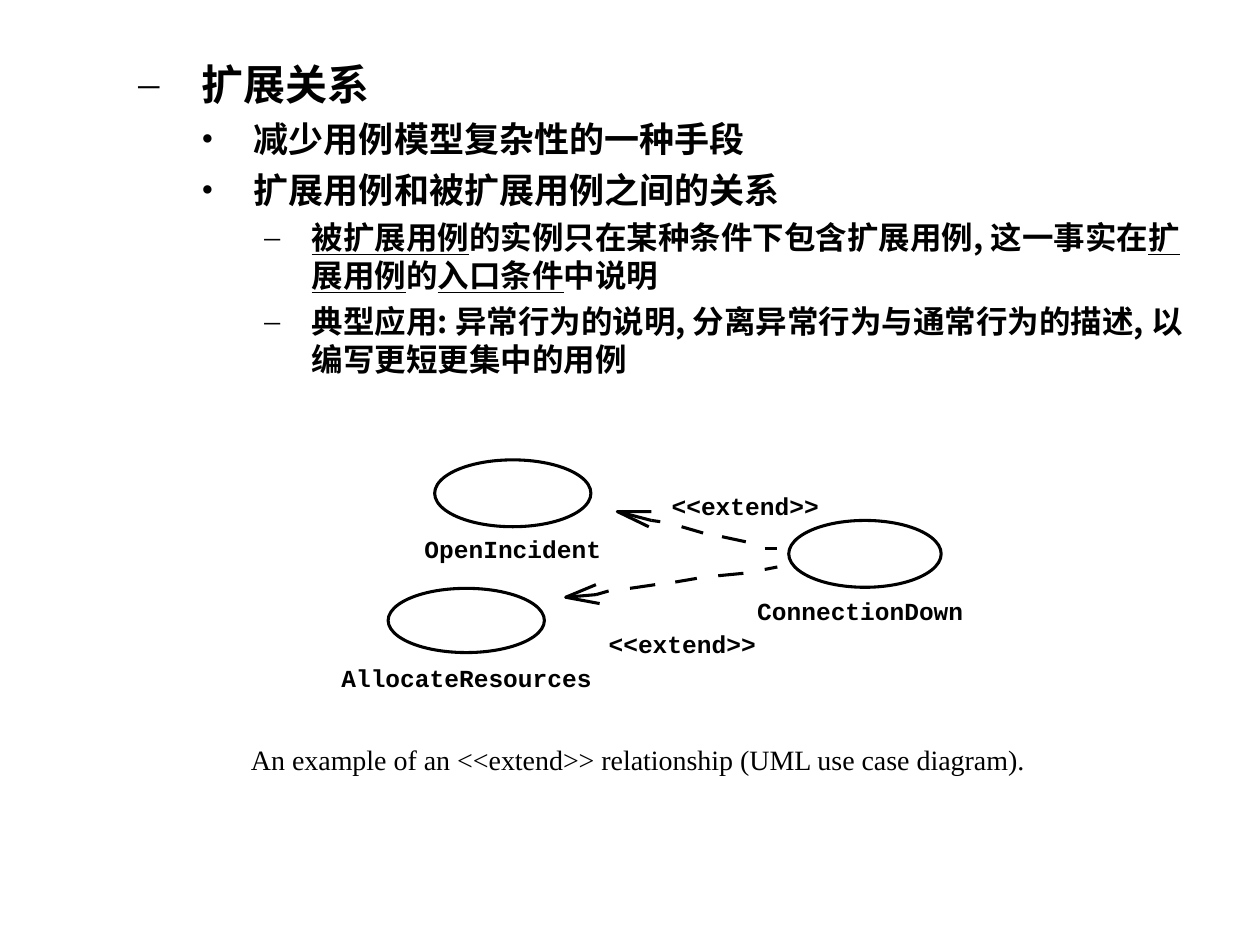
from dataclasses import dataclass
from typing import NamedTuple

from pptx import Presentation
from pptx.dml.color import RGBColor
from pptx.enum.shapes import MSO_CONNECTOR, MSO_SHAPE
from pptx.enum.text import MSO_ANCHOR, MSO_AUTO_SIZE, PP_ALIGN
from pptx.oxml.ns import qn
from pptx.util import Pt
from lxml.etree import SubElement


@dataclass(frozen=True)
class Theme:
    ink: RGBColor = RGBColor(0, 0, 0)
    paper: RGBColor = RGBColor(255, 255, 255)
    body_font: str = "Noto Sans CJK SC"
    label_font: str = "Courier New"
    caption_font: str = "Times New Roman"
    label_size: float = 14
    caption_size: float = 16
    line_width: float = 1.75


class Level(NamedTuple):
    size: float
    indent: float
    hanging: float
    before: float
    bullet: str


class Bullet(NamedTuple):
    level: int
    runs: list[tuple[str, bool]]  # text, underlined


class Box(NamedTuple):
    left: float
    top: float
    width: float
    height: float


class Label(NamedTuple):
    text: str
    box: Box


class Arrow(NamedTuple):
    head: list[tuple[float, float]]  # barb, tip, barb
    dashes: list[tuple[float, float, float, float]]


THEME = Theme()
LEVELS = {
    1: Level(24, 72, 36, 6, "–"),
    2: Level(20, 102, 30, 5, "•"),
    3: Level(18, 135, 27, 4.5, "–"),
}
BULLETS = [
    Bullet(1, [("扩展关系", False)]),
    Bullet(2, [("减少用例模型复杂性的一种手段", False)]),
    Bullet(2, [("扩展用例和被扩展用例之间的关系", False)]),
    Bullet(3, [
        ("被扩展用例", True),
        ("的实例只在某种条件下包含扩展用例, 这一事实在", False),
        ("扩展用例", True),
        ("的", False),
        ("入口条件", True),
        ("中说明", False),
    ]),
    Bullet(3, [("典型应用: 异常行为的说明, 分离异常行为与通常行为的描述, "
                "以编写更短更集中的用例", False)]),
]
BODY = Box(36, 30, 648, 192)
CAPTION = Box(42, 420, 642, 28)
CAPTION_TEXT = " An example of an <<extend>> relationship (UML use case diagram)."
USE_CASES = [
    Box(248.4, 262.8, 89.3, 38.2),
    Box(221.8, 336.2, 89.3, 36.7),
    Box(450.7, 297.4, 87.1, 38.2),
]
LABELS = [
    Label("OpenIncident", Box(242.6, 305.3, 102, 16.6)),
    Label("AllocateResources", Box(195.1, 378.7, 144, 16.6)),
    Label("ConnectionDown", Box(432.7, 340.6, 119, 16.6)),
    Label("<<extend>>", Box(347.8, 359.3, 86, 16.6)),
    Label("<<extend>>", Box(383.8, 280.8, 86, 16.6)),
]
ARROWS = [
    Arrow(
        [(370.8, 301), (352.8, 292.3), (372.2, 292.3)],
        [(372.2, 297.4, 352.8, 292.3), (372.2, 297.4, 377.3, 298.1),
         (389.5, 301, 401.8, 304.6), (412.6, 306.7, 426.2, 309.6),
         (437, 313.2, 444.2, 313.2)],
    ),
    Arrow(
        [(342.7, 344.9), (323.3, 341.3), (340.6, 334.1)],
        [(340.6, 339.8, 323.3, 341.3), (340.6, 339.8, 347.8, 337.7),
         (360, 336.2, 374.4, 334.1), (385.9, 332.6, 398.2, 330.5),
         (410.4, 329, 424.8, 327.6), (437, 325.4, 444.2, 324)],
    ),
]


def points(box: Box) -> list[Pt]:
    return [Pt(v) for v in box]


def add_run(p, text: str, font: str, size: float, bold=False, underline=False):
    r = p.add_run()
    r.text = text
    r.font.name, r.font.size = font, Pt(size)
    r.font.bold = bold
    r.font.underline = underline or None
    r.font.color.rgb = THEME.ink
    SubElement(r.font._element, qn("a:ea")).set("typeface", font)


def set_bullet(p, level: Level):
    pPr = p._p.get_or_add_pPr()
    pPr.set("marL", str(Pt(level.indent)))
    pPr.set("indent", str(-Pt(level.hanging)))
    color = SubElement(pPr, qn("a:buClr"))
    SubElement(color, qn("a:srgbClr")).set("val", str(THEME.ink))
    SubElement(pPr, qn("a:buFont")).set("typeface", THEME.caption_font)
    SubElement(pPr, qn("a:buChar")).set("char", level.bullet)


def add_body(s):
    tf = s.shapes.add_textbox(*points(BODY)).text_frame
    tf.word_wrap = True
    for i, bullet in enumerate(BULLETS):
        p = tf.add_paragraph() if i else tf.paragraphs[0]
        level = LEVELS[bullet.level]
        p.level = bullet.level
        p.space_before = Pt(level.before)
        set_bullet(p, level)
        for text, underline in bullet.runs:
            add_run(p, text, THEME.body_font, level.size, True, underline)


def add_label(s, label: Label):
    tf = s.shapes.add_textbox(*points(label.box)).text_frame
    tf.margin_left = tf.margin_right = tf.margin_top = tf.margin_bottom = 0
    tf.word_wrap = False
    tf.auto_size = MSO_AUTO_SIZE.SHAPE_TO_FIT_TEXT
    add_run(tf.paragraphs[0], label.text, THEME.label_font, THEME.label_size, True)


def draw_line(sp):
    sp.line.color.rgb = THEME.ink
    sp.line.width = Pt(THEME.line_width)


def draw_outline(sp):
    sp.shadow.inherit = False
    sp.fill.background()
    draw_line(sp)


def add_arrow(s, arrow: Arrow):
    """Draw an open arrowhead and its unevenly spaced dashes."""
    start, *rest = [(Pt(x), Pt(y)) for x, y in arrow.head]
    builder = s.shapes.build_freeform(*start)
    builder.add_line_segments(rest, close=False)
    draw_outline(builder.convert_to_shape())
    for dash in arrow.dashes:
        sp = s.shapes.add_connector(MSO_CONNECTOR.STRAIGHT, *map(Pt, dash))
        draw_line(sp)
        SubElement(sp._element.spPr, qn("a:effectLst"))


def add_caption(s):
    sp = s.shapes.title
    sp.left, sp.top, sp.width, sp.height = points(CAPTION)
    tf = sp.text_frame
    tf.auto_size = MSO_AUTO_SIZE.NONE
    tf.vertical_anchor = MSO_ANCHOR.MIDDLE
    p = tf.paragraphs[0]
    p.alignment = PP_ALIGN.CENTER
    add_run(p, CAPTION_TEXT, THEME.caption_font, THEME.caption_size)


def main():
    prs = Presentation()
    prs.slide_width, prs.slide_height = Pt(720), Pt(540)
    s = prs.slides.add_slide(prs.slide_layouts[5])
    s.background.fill.solid()
    s.background.fill.fore_color.rgb = THEME.paper
    add_body(s)
    for box in USE_CASES:
        draw_outline(s.shapes.add_shape(MSO_SHAPE.OVAL, *points(box)))
    for label in LABELS:
        add_label(s, label)
    for arrow in ARROWS:
        add_arrow(s, arrow)
    add_caption(s)
    prs.save("out.pptx")


if __name__ == "__main__":
    main()
